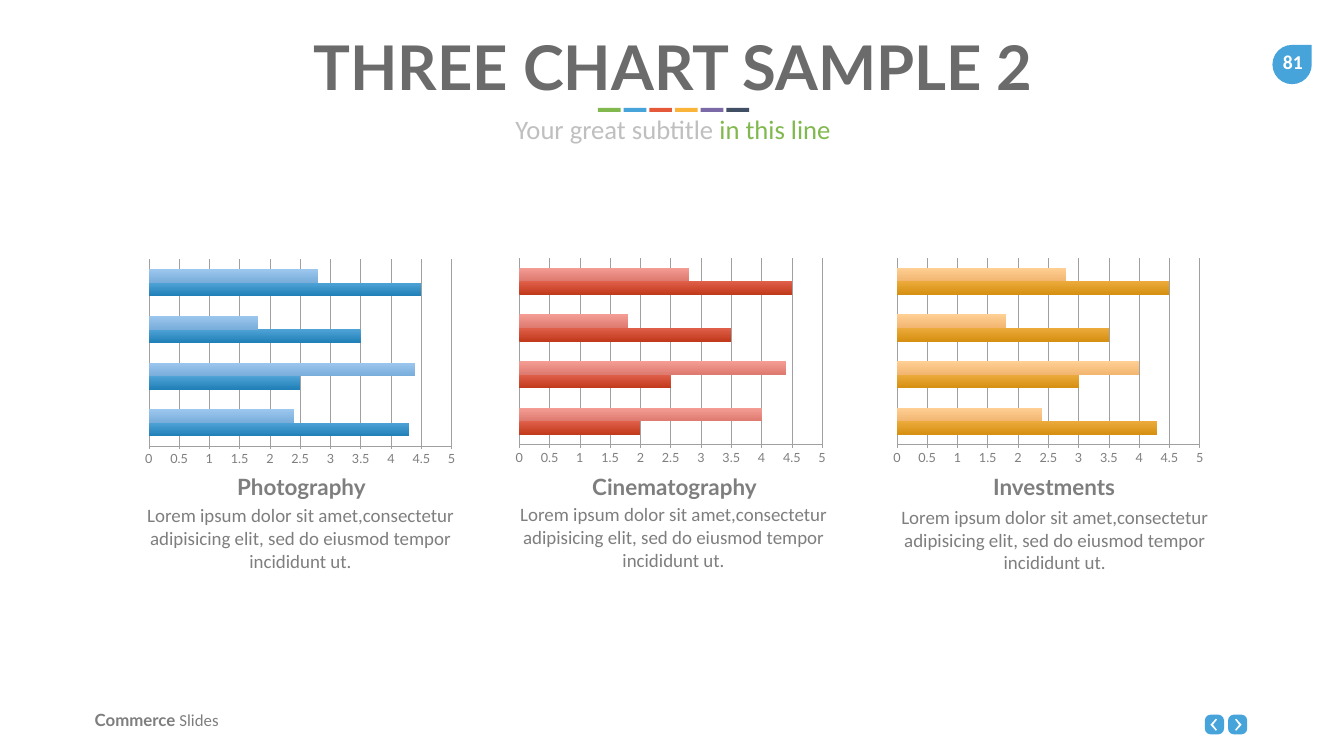
from lxml import etree
from pptx import Presentation
from pptx.chart.data import CategoryChartData
from pptx.dml.color import RGBColor
from pptx.enum.chart import XL_CHART_TYPE, XL_TICK_MARK
from pptx.enum.shapes import MSO_SHAPE
from pptx.enum.text import MSO_ANCHOR, PP_ALIGN
from pptx.oxml import parse_xml
from pptx.oxml.ns import nsdecls
from pptx.util import Inches, Pt

BAR = XL_CHART_TYPE.BAR_CLUSTERED
OUTSIDE, NO_TICK = XL_TICK_MARK.OUTSIDE, XL_TICK_MARK.NONE
RECT, ROUNDED, TEAR = MSO_SHAPE.RECTANGLE, MSO_SHAPE.ROUNDED_RECTANGLE, MSO_SHAPE.TEAR
LEFT, CENTER = PP_ALIGN.LEFT, PP_ALIGN.CENTER

# Content
TITLE = "THREE CHART SAMPLE 2"
SUBTITLE = [("Your great subtitle ", "BFBFBF", False), ("in this line", "81B94F", False)]
PAGE = "81"
LOREM = ("Lorem ipsum dolor sit amet,consectetur adipisicing elit, "
         "sed do eiusmod tempor incididunt ut.")
GRAY, BLUE, WHITE = "7E7E7E", "46A4DB", "FFFFFF"
STRIPES = ["81B94F", BLUE, "E5583A", "F9B439", "7C69A8", "404F64"]
CATEGORIES = ["1", "2", "3", "4"]
# Each gradient runs from the top to the bottom of a bar
PANELS = [
    {"heading": "Photography", "chart_at": (2.76, 5.06), "heading_x": 2.38, "text_at": (2.88, 9.95),
     "series": [([4.3, 2.5, 3.5, 4.5], ("4FA3D6", "2180B8")),
                ([2.4, 4.4, 1.8, 2.8], ("9CC7EE", "79ADDB"))]},
    {"heading": "Cinematography", "chart_at": (10.11, 5.03), "heading_x": 9.78, "text_at": (10.28, 9.93),
     "series": [([2, 2.5, 3.5, 4.5], ("E0604A", "C23A1C")),
                ([4, 4.4, 1.8, 2.8], ("F49D94", "DE7A70"))]},
    {"heading": "Investments", "chart_at": (17.6, 5.03), "heading_x": 17.31, "text_at": (17.84, 9.98),
     "series": [([4.3, 3, 3.5, 4.5], ("ECAB3C", "D69012")),
                ([2.4, 4, 1.8, 2.8], ("FFCF94", "F2B671"))]},
]
CHART_SIZE = (6.39, 4.26)
PLOT_AREA = {"x": 0.03, "y": 0.02, "w": 0.94, "h": 0.87}
CHEVRON = [(0.06, -0.1), (0.04, -0.12), (-0.07, 0), (0.04, 0.12), (0.06, 0.1), (-0.02, 0)]


def color(value):
    return RGBColor.from_string(value)


def place(shape, x, y, w, h):
    shape.left, shape.top, shape.width, shape.height = map(Inches, (x, y, w, h))


def write(text, at, size, font="Calibri", fill=GRAY, bold=False, align=CENTER,
          insets=(0.1, 0.05, 0.1, 0.05), wrap=True, box=None):
    """Text is a string, or a list of (words, colour, bold) runs."""
    box = box or slide.shapes.add_textbox(0, 0, 0, 0)
    place(box, *at)
    frame = box.text_frame
    frame.word_wrap = wrap
    frame.vertical_anchor = MSO_ANCHOR.TOP
    (frame.margin_left, frame.margin_top,
     frame.margin_right, frame.margin_bottom) = map(Inches, insets)
    paragraph = frame.paragraphs[0]
    paragraph.alignment = align
    for words, run_fill, run_bold in [(text, fill, bold)] if isinstance(text, str) else text:
        run = paragraph.add_run()
        run.text = words
        run.font.name, run.font.size, run.font.bold = font, Pt(size), run_bold
        run.font.color.rgb = color(run_fill)


def paint(shape, fill):
    shape.shadow.inherit = False
    shape.fill.solid()
    shape.fill.fore_color.rgb = color(fill)
    shape.line.fill.background()


def add_block(kind, at, fill):
    block = slide.shapes.add_shape(kind, *map(Inches, at))
    paint(block, fill)
    return block


def add_chevron(x, y, direction):
    points = [(Inches(x + direction * dx), Inches(y + dy)) for dx, dy in CHEVRON]
    builder = slide.shapes.build_freeform(*points[0])
    builder.add_line_segments(points[1:], close=True)
    paint(builder.convert_to_shape(), WHITE)


def add_bars(at, series):
    data = CategoryChartData()
    data.categories = CATEGORIES
    for number, (values, _) in enumerate(series, 1):
        data.add_series(f"Series {number}", values)
    chart = slide.shapes.add_chart(BAR, *map(Inches, at + CHART_SIZE), data).chart
    chart.has_legend = chart.has_title = False
    chart.font.name, chart.font.size = "Lato", Pt(18)
    chart.font.color.rgb = color(GRAY)

    chart.category_axis.visible = False
    axis = chart.value_axis
    axis.minimum_scale, axis.maximum_scale, axis.major_unit = 0, 5, 0.5
    axis.major_tick_mark, axis.minor_tick_mark = OUTSIDE, NO_TICK
    axis.tick_labels.number_format = "General"
    axis.tick_labels.number_format_is_linked = False
    axis.has_major_gridlines = True
    for line in (axis.format.line, axis.major_gridlines.format.line):
        line.color.rgb = color("A0A0A0")
        line.width = Pt(0.75)

    plot = chart.plots[0]
    plot.gap_width, plot.overlap, plot.vary_by_categories = 150, 0, False
    for bars, (_, gradient) in zip(plot.series, series):
        bars.invert_if_negative = False
        fill = bars.format.fill
        fill.gradient()
        fill.gradient_angle = 270
        for stop, shade, position in zip(fill.gradient_stops, gradient, (0, 1)):
            stop.color.rgb = color(shade)
            stop.position = position

    # Fixed inner plot area
    plot_area = chart.element.chart.plotArea
    for old in plot_area.findall("{*}layout"):
        plot_area.remove(old)
    layout = parse_xml(f'<c:layout {nsdecls("c")}><c:manualLayout><c:layoutTarget val="inner"/>'
                       '<c:xMode val="edge"/><c:yMode val="edge"/></c:manualLayout></c:layout>')
    for key, share in PLOT_AREA.items():
        etree.SubElement(layout[0], f"{{{layout.nsmap['c']}}}{key}").set("val", str(share))
    plot_area.insert(0, layout)


prs = Presentation()
prs.slide_width, prs.slide_height = Inches(26.66), Inches(15)
slide = prs.slides.add_slide(prs.slide_layouts[5])

# Navigation, page number and footer
for left, direction in ((23.9, 1), (24.36, -1)):
    button = add_block(ROUNDED, (left, 14.18, 0.38, 0.39), BLUE)
    button.adjustments[0] = 0.3
    add_chevron(left + 0.19 - 0.01 * direction, 14.38, direction)
add_block(TEAR, (25.24, 0.89, 0.78, 0.78), BLUE)
write(PAGE, (25.21, 0.9, 0.87, 0.67), 28, fill=WHITE, bold=True,
      insets=(0.2, 0.1, 0.2, 0.1), wrap=False)
write([("Commerce ", GRAY, True)], (1.78, 14.04, 4, 0.5), 24, font="Lato", align=LEFT)
footer = slide.shapes[-1].text_frame.paragraphs[0].add_run()
footer.text = "Slides"
footer.font.name, footer.font.size = "Calibri", Pt(24)
footer.font.color.rgb = color(GRAY)

# Title, colour stripes and subtitle
write(TITLE, (1.9, 0.53, 22.9, 1.58), 88, font="Lato", fill="6B6B6B", bold=True,
      box=slide.shapes.title)
for index, stripe in enumerate(STRIPES):
    add_block(RECT, (11.86 + 0.51 * index, 2.14, 0.45, 0.08), stripe)
write(SUBTITLE, (1.9, 2.2, 22.9, 0.74), 38)

# Chart panels
for panel in PANELS:
    add_bars(panel["chart_at"], panel["series"])
    write(panel["heading"], (panel["heading_x"], 9.33, 7.2, 0.59), 32, font="Lato",
          bold=True, insets=(0, 0.05, 0, 0))
    write(LOREM, panel["text_at"] + (6.16, 1.41), 27, insets=(0, 0.05, 0, 0))

prs.save("out.pptx")
